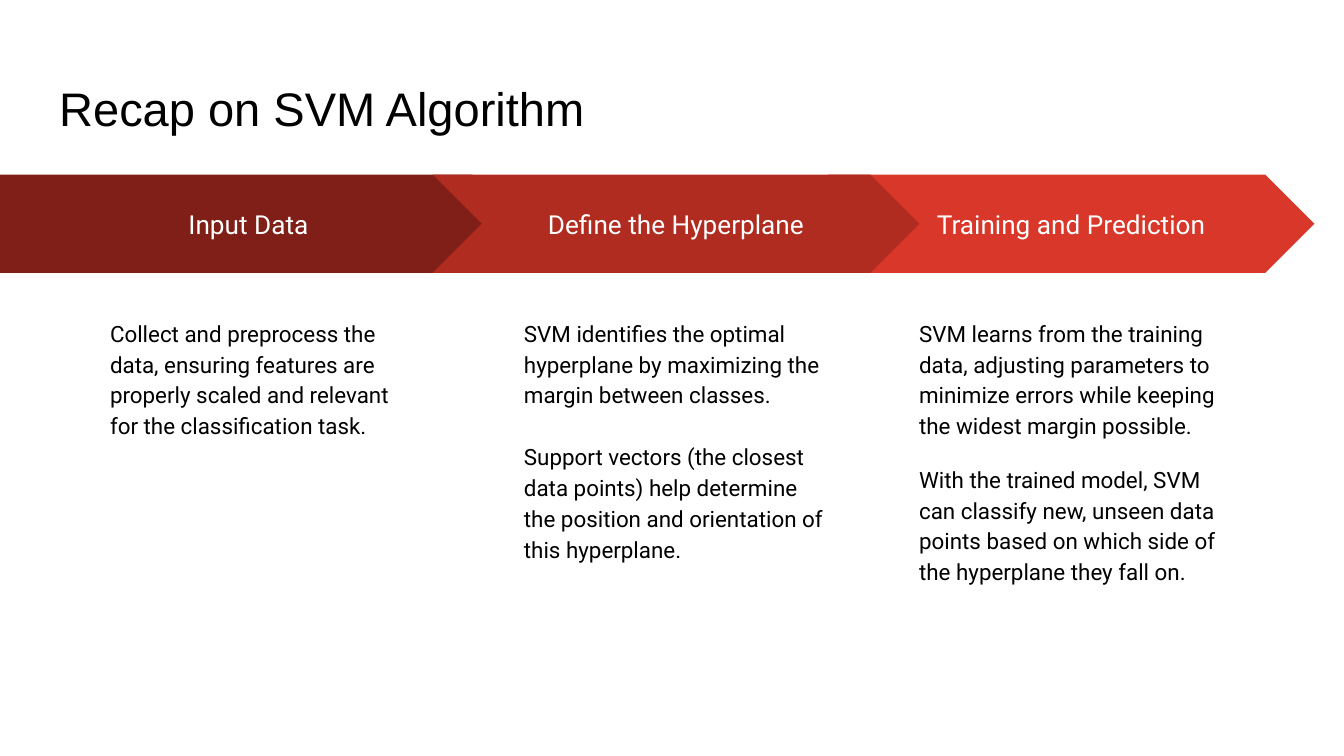
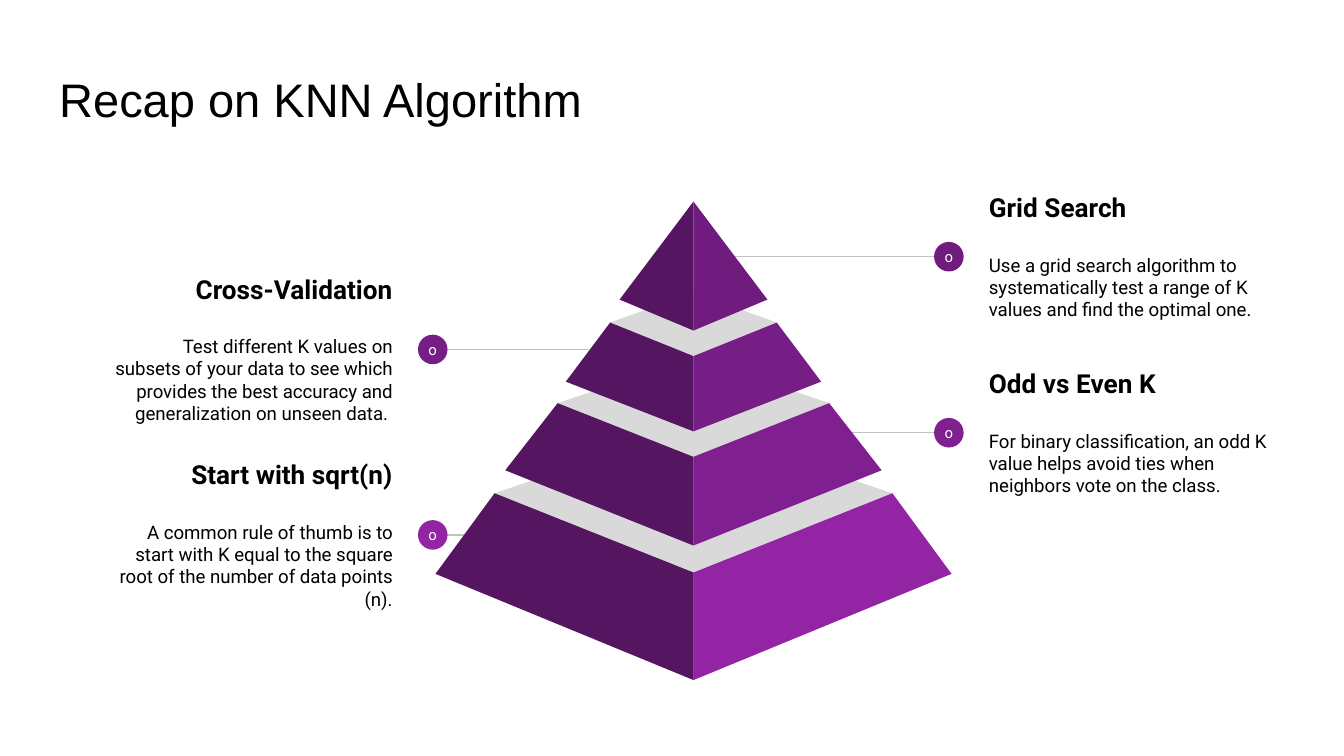
from lxml.etree import SubElement
from pptx import Presentation
from pptx.dml.color import RGBColor
from pptx.enum.shapes import MSO_CONNECTOR, MSO_SHAPE
from pptx.enum.text import MSO_ANCHOR, MSO_AUTO_SIZE, PP_ALIGN
from pptx.oxml.ns import qn
from pptx.util import Inches, Pt

BLACK, WHITE = "000000", "FFFFFF"
LEADER_GREY, LID_GREY, SHADE_PURPLE = "C2C2C2", "D9D9D9", "561561"
TIER_PURPLES = ["701C7F", "771E86", "802090", "9325A5"]


def paint(fill, color):
    fill.solid()
    fill.fore_color.rgb = RGBColor.from_string(color)


def write(frame, texts, sizes, color=BLACK, align=PP_ALIGN.LEFT, font="Roboto",
          anchor=MSO_ANCHOR.MIDDLE, gap=0, inset=0.1):
    """Fill a text frame with one paragraph per text, a gap between them."""
    frame.word_wrap = True
    frame.auto_size = MSO_AUTO_SIZE.NONE
    frame.vertical_anchor = anchor
    frame.margin_left = frame.margin_right = Inches(inset)
    frame.margin_top = frame.margin_bottom = Inches(inset)
    for index, (text, size) in enumerate(zip(texts, sizes)):
        paragraph = frame.add_paragraph() if index else frame.paragraphs[0]
        paragraph.text = text
        paragraph.alignment = align
        paragraph.space_before = Pt(gap if index else 0)
        paragraph.font.name = font
        paragraph.font.size = Pt(size)
        paint(paragraph.font.fill, color)


# Widescreen, 16:9
presentation = Presentation()
presentation.slide_width = Inches(10)
presentation.slide_height = Inches(10 * 9 / 16)

# Titled slides
slides = []
for title_text, title_top in [("Recap on SVM Algorithm", 0.49),
                              ("Recap on KNN Algorithm", 0.42)]:
    slide = presentation.slides.add_slide(presentation.slide_layouts[5])
    title = slide.shapes.title
    title.left, title.top = Inches(0.34), Inches(title_top)
    title.width, title.height = Inches(9.32), Inches(0.63)
    write(title.text_frame, [title_text], [25.2], font="Arial")
    slides.append(slide)
svm_slide, knn_slide = slides

# SVM steps, back to front: each arrow tip overlaps the next notch
STEPS = [
    (MSO_SHAPE.CHEVRON, 6.16, 3.62, "D83729", "Training and Prediction", 6.74, 12, [
        "SVM learns from the training data, adjusting parameters to minimize "
        "errors while keeping the widest margin possible.",
        "With the trained model, SVM can classify new, unseen data points based "
        "on which side of the hyperplane they fall on."]),
    (MSO_SHAPE.PENTAGON, 0, 3.88, "801F17", "Input Data", 0.72, 0, [
        "Collect and preprocess the data, ensuring features are properly scaled "
        "and relevant for the classification task."]),
    (MSO_SHAPE.CHEVRON, 3.22, 3.62, "B02B20", "Define the Hyperplane", 3.8, 16.5, [
        "SVM identifies the optimal hyperplane by maximizing the margin between "
        "classes.",
        "Support vectors (the closest data points) help determine the position "
        "and orientation of this hyperplane."]),
]
for kind, left, width, color, heading, text_left, gap, texts in STEPS:
    arrow = svm_slide.shapes.add_shape(
        kind, Inches(left), Inches(1.3), Inches(width), Inches(0.73))
    arrow.shadow.inherit = False
    arrow.line.fill.background()
    paint(arrow.fill, color)
    write(arrow.text_frame, [heading], [14], WHITE, PP_ALIGN.CENTER)
    body = svm_slide.shapes.add_textbox(
        Inches(text_left), Inches(2.25), Inches(2.45), Inches(2.86))
    write(body.text_frame, texts, [12] * len(texts), anchor=MSO_ANCHOR.TOP, gap=gap)
    for paragraph in body.text_frame.paragraphs:
        paragraph.line_spacing = 1.15

# KNN notes, top to bottom: height of leader, its pyramid end, heading, text
NOTES = [
    (1.91, 5.45, "Grid Search",
     "Use a grid search algorithm to systematically test a range of K values "
     "and find the optimal one."),
    (2.6, 4.38, "Cross-Validation",
     "Test different K values on subsets of your data to see which provides "
     "the best accuracy and generalization on unseen data. "),
    (3.22, 6.32, "Odd vs Even K",
     "For binary classification, an odd K value helps avoid ties when "
     "neighbors vote on the class."),
    (3.98, 4.38, "Start with sqrt(n)",
     "A common rule of thumb is to start with K equal to the square root of "
     "the number of data points (n)."),
]
DOT = 0.22
for index, (middle, leader_start, heading, text) in enumerate(NOTES):
    on_right = index % 2 == 0
    text_left, dot_left, leader_end = (7.26, 6.95, 7.14) if on_right else (0.75, 3.11, 3.14)
    note = knn_slide.shapes.add_textbox(
        Inches(text_left), Inches(middle - 0.58), Inches(2.27), Inches(1.15))
    write(note.text_frame, [heading, text], [14, 10], gap=16.4,
          align=PP_ALIGN.LEFT if on_right else PP_ALIGN.RIGHT)
    note.text_frame.paragraphs[0].font.bold = True
    note.text_frame.paragraphs[1].space_after = Pt(16)

    leader = knn_slide.shapes.add_connector(
        MSO_CONNECTOR.STRAIGHT, Inches(leader_start), Inches(middle),
        Inches(leader_end), Inches(middle))
    paint(leader.line.fill, LEADER_GREY)
    leader.line.width = Pt(0.75)
    SubElement(leader._element.spPr, qn("a:effectLst"))

    dot = knn_slide.shapes.add_shape(
        MSO_SHAPE.OVAL, Inches(dot_left), Inches(middle - DOT / 2),
        Inches(DOT), Inches(DOT))
    dot.shadow.inherit = False
    dot.line.fill.background()
    paint(dot.fill, TIER_PURPLES[index])
    write(dot.text_frame, ["o"], [8], WHITE, PP_ALIGN.CENTER, inset=0)

# Pyramid tiers, built from the base up. Each has a back corner, then for its
# top and bottom edges: half width, height of side corner, height of front corner
CENTER = 5.16
TIERS = [
    (1.5, (0, 1.5, 1.5), (0.55, 2.23, 2.46)),
    (2.18, (0.62, 2.4, 2.65), (0.95, 2.84, 3.21)),
    (2.66, (1.01, 3, 3.4), (1.4, 3.5, 4.06)),
    (3.17, (1.48, 3.67, 4.26), (1.92, 4.27, 5.06)),
]
for (back, top, bottom), color in reversed(list(zip(TIERS, TIER_PURPLES))):
    top_half, top_side, top_front = top
    bottom_half, bottom_side, bottom_front = bottom
    faces = [
        (face_color, [(CENTER + side * top_half, top_side), (CENTER, top_front),
                      (CENTER, bottom_front), (CENTER + side * bottom_half, bottom_side)])
        for side, face_color in [(-1, SHADE_PURPLE), (1, color)]]
    if top_half:
        faces.insert(0, (LID_GREY, [
            (CENTER - top_half, top_side), (CENTER, top_front),
            (CENTER + top_half, top_side), (CENTER, back)]))
    for face_color, corners in faces:
        points = [(Inches(x), Inches(y)) for x, y in corners]
        builder = knn_slide.shapes.build_freeform(*points[0])
        builder.add_line_segments(points[1:], close=True)
        face = builder.convert_to_shape()
        face.shadow.inherit = False
        face.line.fill.background()
        paint(face.fill, face_color)

presentation.save("out.pptx")
